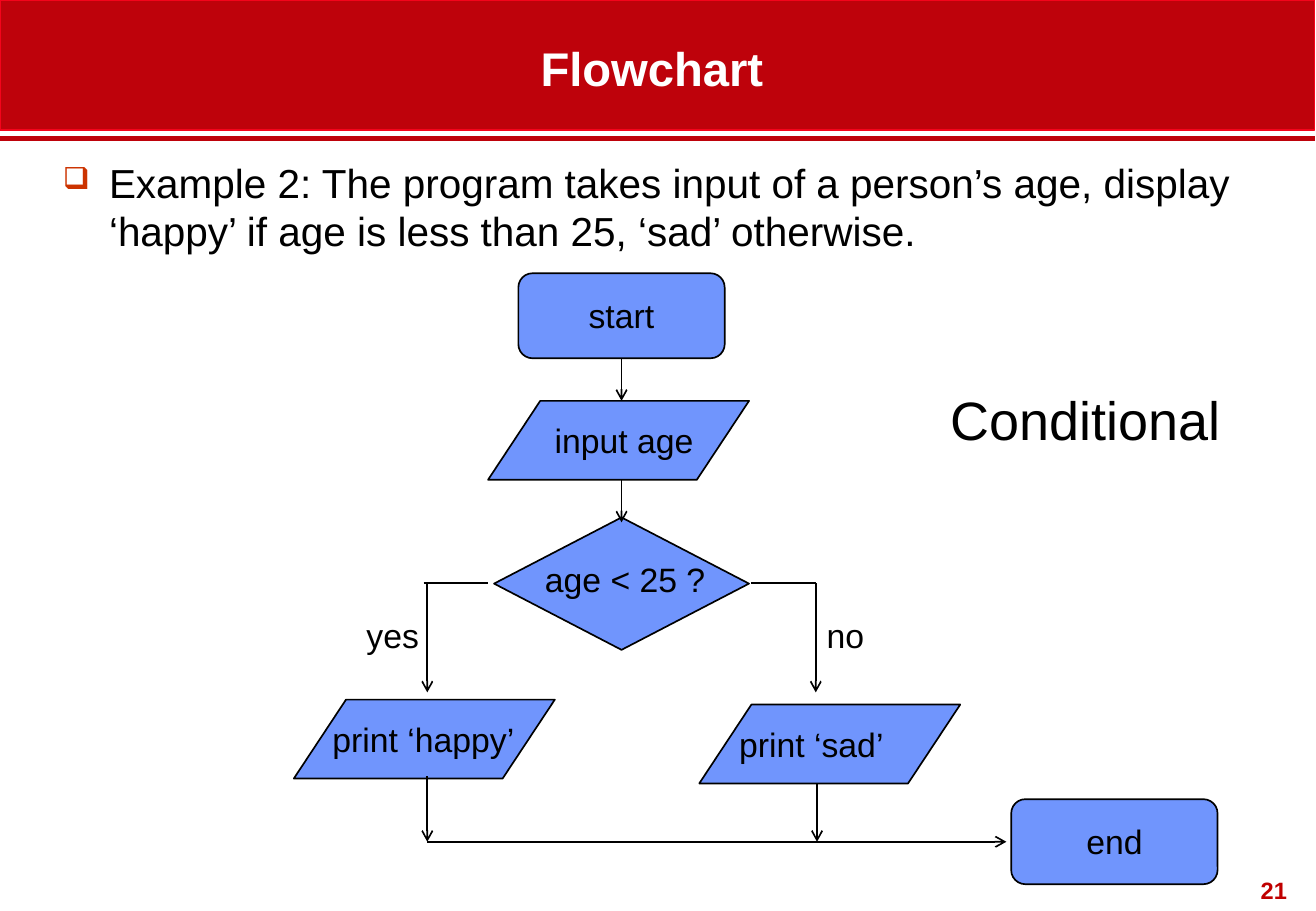
from dataclasses import dataclass

from lxml import etree
from pptx import Presentation
from pptx.dml.color import RGBColor
from pptx.enum.shapes import MSO_CONNECTOR, MSO_SHAPE
from pptx.enum.text import MSO_ANCHOR, MSO_AUTO_SIZE, PP_ALIGN
from pptx.oxml.ns import qn
from pptx.util import Inches, Pt

RECTANGLE = MSO_SHAPE.RECTANGLE
TERMINAL = MSO_SHAPE.ROUNDED_RECTANGLE
INPUT_OUTPUT = MSO_SHAPE.FLOWCHART_DATA
DECISION = MSO_SHAPE.FLOWCHART_DECISION
STRAIGHT = MSO_CONNECTOR.STRAIGHT
TOP, BOTTOM = MSO_ANCHOR.TOP, MSO_ANCHOR.BOTTOM
LEFT, CENTER, RIGHT = PP_ALIGN.LEFT, PP_ALIGN.CENTER, PP_ALIGN.RIGHT
FIXED, FIT_TEXT = MSO_AUTO_SIZE.NONE, MSO_AUTO_SIZE.SHAPE_TO_FIT_TEXT


@dataclass(frozen=True)
class Theme:
    font: str = "Arial"
    banner: str = "BE020B"
    banner_edge: str = "F4041B"
    page_number: str = "C00000"
    bullet: str = "CC3300"
    node: str = "7095FD"
    ink: str = "000000"
    paper: str = "FFFFFF"
    title_size: int = 28
    body_size: int = 24
    label_size: int = 20
    topic_size: int = 32
    number_size: int = 14


THEME = Theme()


def color(value):
    return RGBColor.from_string(value)


def add_text(slide, box, text, size, ink=THEME.ink, bold=False,
             align=LEFT, anchor=TOP, wrap=False):
    shape = slide.shapes.add_textbox(*map(Inches, box))
    frame = shape.text_frame
    frame.word_wrap = wrap
    frame.auto_size = FIXED if wrap else FIT_TEXT
    frame.vertical_anchor = anchor
    paragraph = frame.paragraphs[0]
    paragraph.alignment = align
    run = paragraph.add_run()
    run.text = text
    run.font.color.rgb = color(ink)
    values = {"name": THEME.font, "size": Pt(size), "bold": bold}
    for name, value in values.items():
        setattr(run.font, name, value)
    return paragraph


def add_box(slide, kind, box, fill, edge):
    shape = slide.shapes.add_shape(kind, *map(Inches, box))
    shape.shadow.inherit = False
    shape.fill.solid()
    shape.fill.fore_color.rgb = color(fill)
    shape.line.color.rgb = color(edge)
    shape.line.width = Pt(1)


def add_line(slide, start, end, ink=THEME.ink, width=1, arrow=False):
    line = slide.shapes.add_connector(STRAIGHT, *map(Inches, (*start, *end)))
    line.line.color.rgb = color(ink)
    line.line.width = Pt(width)
    properties = line._element.spPr
    if arrow:
        etree.SubElement(properties.find(qn("a:ln")), qn("a:tailEnd"), type="arrow")
    etree.SubElement(properties, qn("a:effectLst"))


def add_banner(slide, box):
    left, top, width, height = box
    add_box(slide, RECTANGLE, box, THEME.banner, THEME.banner_edge)
    rule_y = top + height + 0.07
    add_line(slide, (left, rule_y), (left + width, rule_y), THEME.banner, 3)
    add_text(slide, (left + 0.29, top + 0.18, 10.16, 0.66), "Flowchart",
             THEME.title_size, THEME.paper, True, CENTER, BOTTOM, True)


def add_task(slide, box):
    paragraph = add_text(
        slide, box,
        "Example 2: The program takes input of a person’s age, display "
        "‘happy’ if age is less than 25, ‘sad’ otherwise.",
        THEME.body_size, wrap=True)
    # Hanging bullet
    properties = paragraph._p.get_or_add_pPr()
    properties.set("marL", str(Inches(0.38)))
    properties.set("indent", str(Inches(-0.38)))
    bullet_color = etree.SubElement(properties, qn("a:buClr"))
    etree.SubElement(bullet_color, qn("a:srgbClr"), val=THEME.bullet)
    etree.SubElement(properties, qn("a:buSzPct"), val="75000")
    etree.SubElement(properties, qn("a:buChar"), char="❑")


def add_flowchart(slide, box):
    left, top = box[:2]

    def point(x, y):
        return left + x, top + y

    # Nodes: kind, position, label, label offset and width
    sizes = {TERMINAL: (1.7, 0.7), INPUT_OUTPUT: (2.15, 0.65), DECISION: (2.1, 1.09)}
    nodes = [
        (TERMINAL, (1.85, 0), "start", (0.48, 0.13), 0.78),
        (INPUT_OUTPUT, (1.6, 1.05), "input age", (0.45, 0.11), 1.38),
        (DECISION, (1.65, 2.01), "age < 25 ?", (0.32, 0.29), 1.56),
        (INPUT_OUTPUT, (0, 3.51), "print ‘happy’", (0.22, 0.11), 1.74),
        (INPUT_OUTPUT, (3.34, 3.55), "print ‘sad’", (0.23, 0.11), 1.43),
        (TERMINAL, (5.91, 4.33), "end", (0.52, 0.13), 0.7),
    ]
    for kind, (x, y), label, (dx, dy), width in nodes:
        add_box(slide, kind, (*point(x, y), *sizes[kind]), THEME.node, THEME.ink)
        add_text(slide, (*point(x + dx, y + dy), width, 0.44), label, THEME.label_size)

    # Arrows down the trunk and both branches, then across to the end
    trunk, yes, no = 2.7, 1.1, 4.3
    split, merge = 2.55, 4.68
    arrows = [
        ((trunk, 0.7), (trunk, 1.05)),
        ((trunk, 1.7), (trunk, 2.05)),
        ((yes, split), (yes, 3.45)),
        ((no, split), (no, 3.45)),
        ((yes, 4.14), (yes, merge)),
        ((no + 0.01, 4.2), (no + 0.01, merge)),
        ((yes, merge), (5.87, merge)),
    ]
    for start, end in arrows:
        add_line(slide, point(*start), point(*end), arrow=True)

    # Arms of the decision
    for start_x, end_x in ((yes - 0.03, 1.6), (3.77, no)):
        add_line(slide, point(start_x, split), point(end_x, split))
    for label, x, width in (("yes", 0.5, 0.67), ("no", 4.29, 0.55)):
        add_text(slide, (*point(x, 2.76), width, 0.44), label, THEME.label_size)


def main():
    presentation = Presentation()
    presentation.slide_width = Inches(10.84)
    presentation.slide_height = Inches(7.5)
    slide = presentation.slides.add_slide(presentation.slide_layouts[6])

    add_banner(slide, (0, 0, 10.83, 1.07))
    add_task(slide, (0.42, 1.25, 10, 0.9))
    add_flowchart(slide, (2.42, 2.25, 7.62, 5.03))
    add_text(slide, (7.73, 3.13, 2.6, 0.64), "Conditional", THEME.topic_size)
    add_text(slide, (10.22, 7.16, 0.48, 0.33), "21", THEME.number_size,
             THEME.page_number, True, RIGHT, wrap=True)

    presentation.save("out.pptx")


if __name__ == "__main__":
    main()
